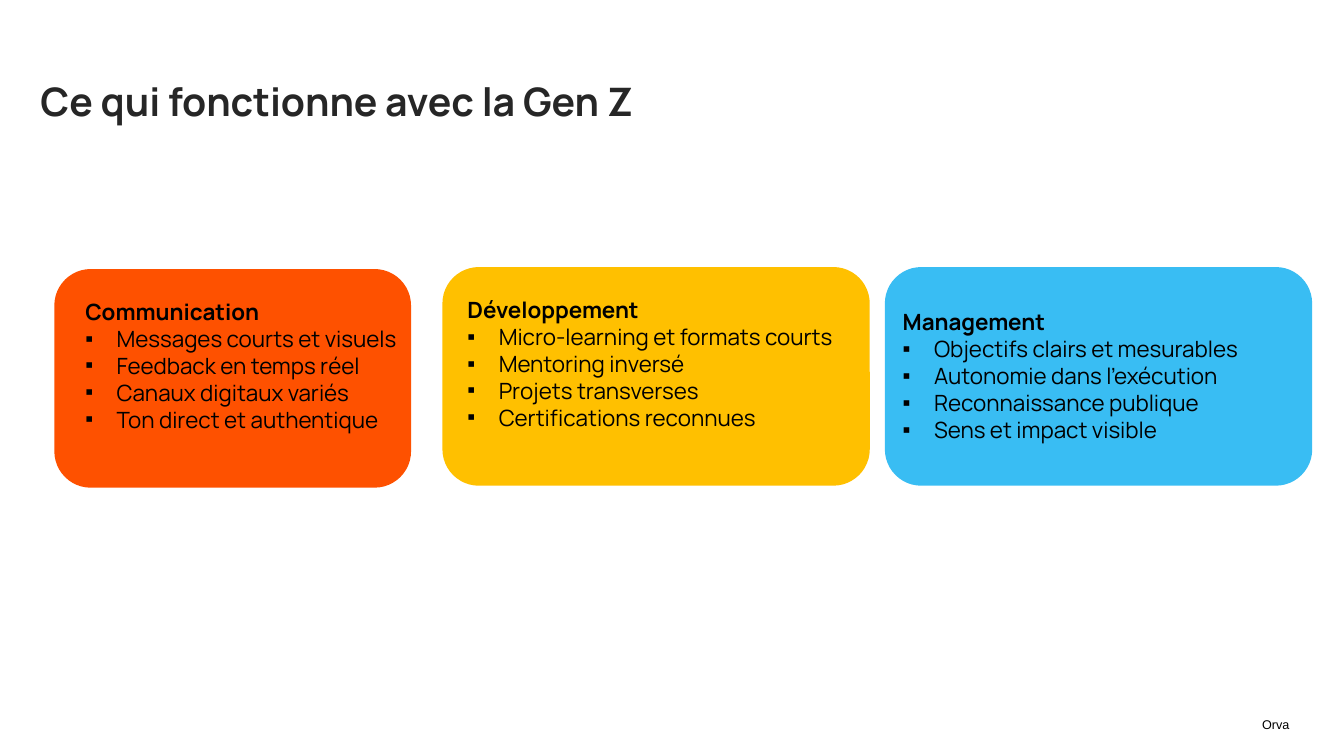
from lxml import etree
from pptx import Presentation, util as u
from pptx.dml.color import RGBColor
from pptx.enum import shapes, text
from pptx.oxml.ns import qn

BLACK = RGBColor(0x00, 0x00, 0x00)
CHARCOAL = RGBColor(0x26, 0x26, 0x26)
ORANGE = RGBColor(0xFE, 0x51, 0x00)
YELLOW = RGBColor(0xFF, 0xC0, 0x00)
BLUE = RGBColor(0x39, 0xBD, 0xF3)
CARD_HEIGHT = 5.51

# Card place (left, top, width), text place (left, top, width, height), colour, heading, points
CARDS = [
    ((1.37, 6.78, 8.99), (1.9, 7.39, 8.46, 4.37), ORANGE, "Communication",
     ["Messages courts et visuels", "Feedback en temps réel",
      "Canaux digitaux variés", "Ton direct et authentique"]),
    ((11.15, 6.73, 10.77), (11.53, 7.34, 10.36, 3.68), YELLOW, "Développement",
     ["Micro-learning et formats courts", "Mentoring inversé",
      "Projets transverses", "Certifications reconnues"]),
    ((22.3, 6.73, 10.77), (22.5, 7.65, 10.36, 3.76), BLUE, "Management",
     ["Objectifs clairs et mesurables", "Autonomie dans l'exécution",
      "Reconnaissance publique", "Sens et impact visible"]),
]


def write(para, words, size=16, font="Manrope", color=BLACK, bold=False,
          bullet=None, align=text.PP_ALIGN.LEFT, spacing=None):
    if bullet:
        props = para._p.get_or_add_pPr()
        props.set("marL", str(u.Cm(0.79)))
        props.set("indent", str(-u.Cm(0.79)))
        etree.SubElement(props, qn("a:buFont")).set("typeface", "Arial")
        etree.SubElement(props, qn("a:buChar")).set("char", bullet)
    para.alignment = align
    if spacing:
        para.line_spacing = spacing
    span = para.add_run()
    span.text = words
    span.font.size = u.Pt(size)
    span.font.name = font
    span.font.color.rgb = color
    span.font.bold = bold


class SlideBuilder:
    def __init__(self, slide):
        self.slide = slide

    def label(self, place, words, wrap=True, **style):
        """Add a single line that sits on the bottom of a box without margins."""
        box = self.slide.shapes.add_textbox(*map(u.Cm, place))
        frame = box.text_frame
        frame.word_wrap = wrap
        frame.vertical_anchor = text.MSO_ANCHOR.BOTTOM
        frame.margin_left = frame.margin_right = 0
        frame.margin_top = frame.margin_bottom = 0
        write(frame.paragraphs[0], words, **style)

    def card(self, place, text_place, color, heading, points):
        group = self.slide.shapes.add_group_shape()
        panel = group.shapes.add_shape(
            shapes.MSO_SHAPE.ROUNDED_RECTANGLE, *map(u.Cm, (*place, CARD_HEIGHT)))
        panel.shadow.inherit = False
        panel.fill.solid()
        panel.fill.fore_color.rgb = color
        panel.line.fill.background()
        frame = group.shapes.add_textbox(*map(u.Cm, text_place)).text_frame
        frame.word_wrap = True
        write(frame.paragraphs[0], heading, bold=True)
        for point in points:
            write(frame.add_paragraph(), point, bullet="▪")


def main():
    deck = Presentation()
    deck.slide_width, deck.slide_height = u.Cm(33.87), u.Cm(19.05)
    page = SlideBuilder(deck.slides.add_slide(deck.slide_layouts[6]))
    page.label((31.78, 18.06, 0.74, 0.38), "Orva", wrap=False, size=9,
               font="Arial", align=text.PP_ALIGN.CENTER)
    page.label((1.02, 1.52, 29.21, 1.63), "Ce qui fonctionne avec la Gen Z",
               size=28, color=CHARCOAL, bold=True, spacing=0.93)
    for card in CARDS:
        page.card(*card)
    deck.save("out.pptx")


if __name__ == "__main__":
    main()
